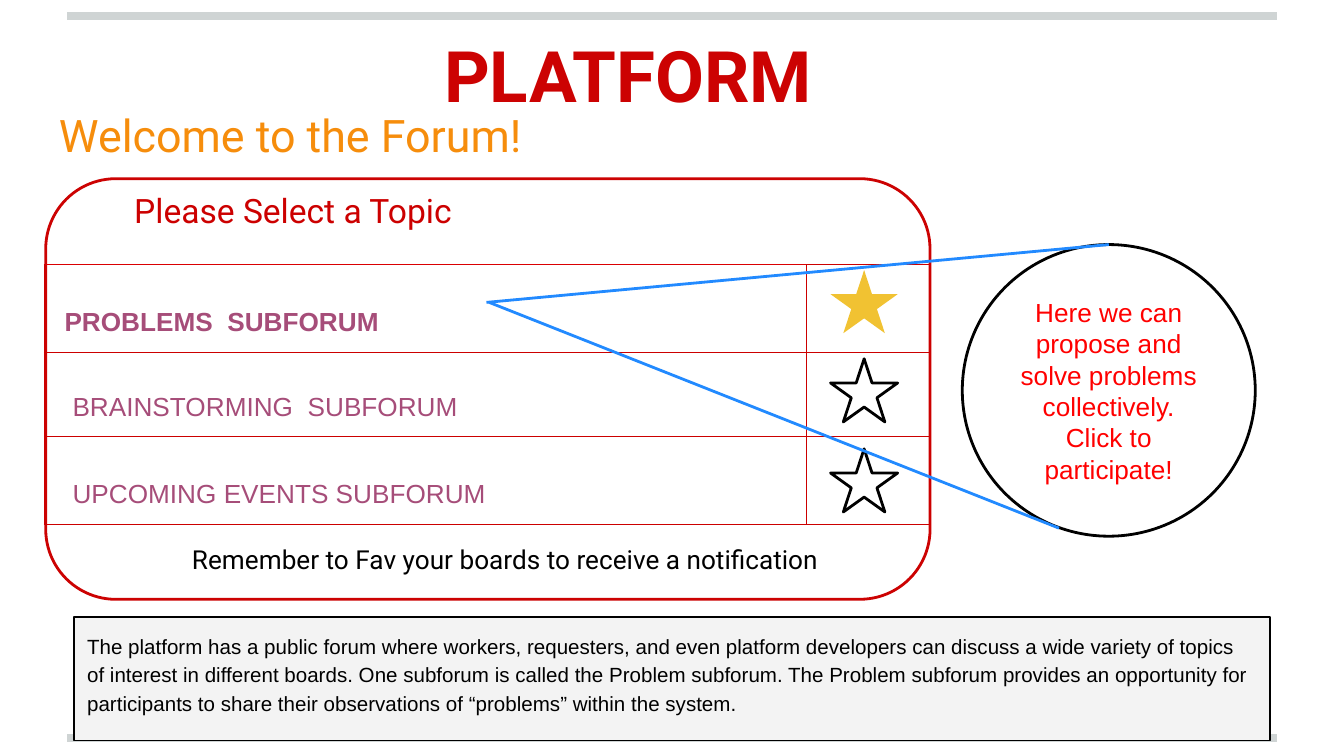
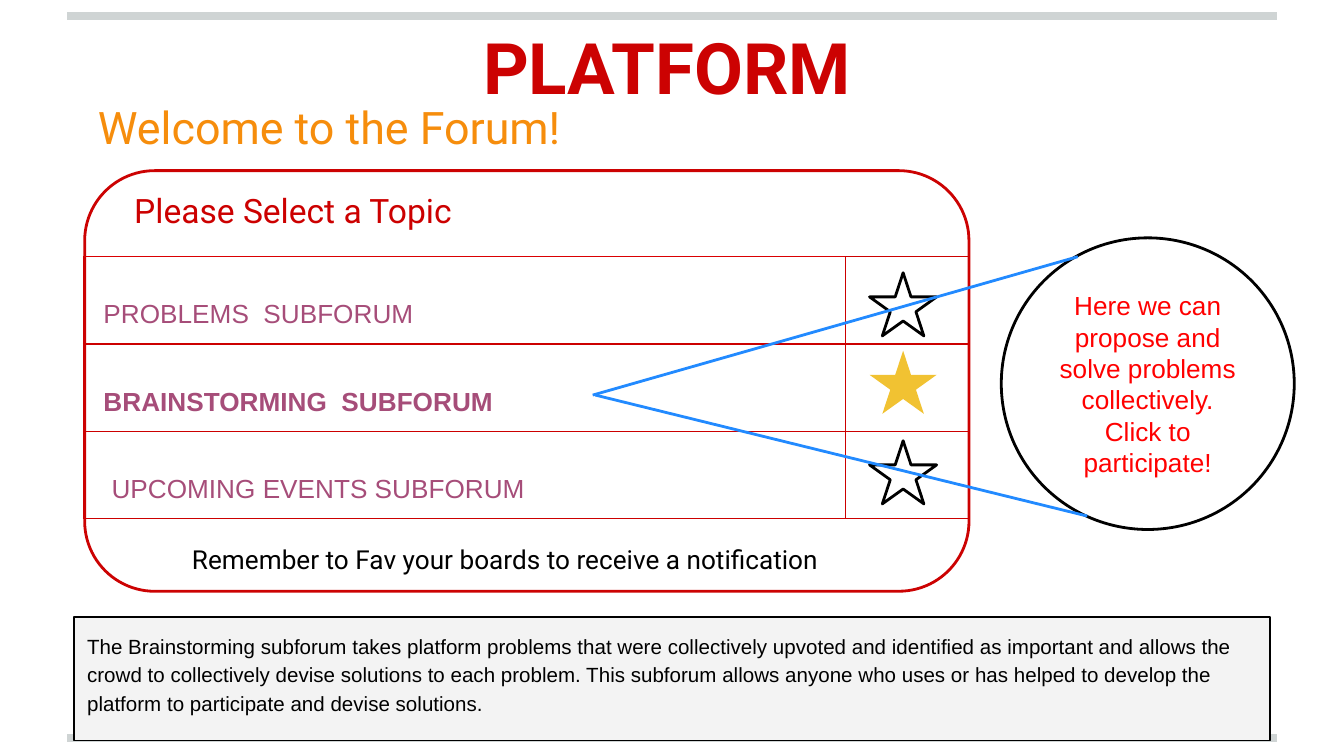
"""Build two slides that present the subforums of a platform."""
from lxml.etree import SubElement
from pptx import Presentation
from pptx.dml.color import RGBColor
from pptx.enum.shapes import MSO_CONNECTOR, MSO_SHAPE
from pptx.enum.text import MSO_ANCHOR, PP_ALIGN
from pptx.oxml import parse_xml
from pptx.oxml.ns import nsdecls, qn
from pptx.util import Inches, Pt

COLORS = {
    "band": "CFD4D4", "title": "CC0202", "welcome": "F68D0C", "topic": "CC0000",
    "top_edge": "DA0002", "subforum": "A64D79", "callout": "FF0000",
    "pointer": "228AFF", "star": "F1C232", "panel": "F3F3F3", "black": "000000",
}
TITLE = "PLATFORM"
WELCOME = "Welcome to the Forum!"
PROMPT = "Please Select a Topic"
REMINDER = "Remember to Fav your boards to receive a notification"
CALLOUT = ["Here we can propose and solve problems collectively.", "Click to participate!"]
SUBFORUMS = ["PROBLEMS  SUBFORUM", "BRAINSTORMING  SUBFORUM", "UPCOMING EVENTS SUBFORUM"]
SLIDE_WIDTH = 10
SLIDE_HEIGHT = SLIDE_WIDTH * 9 / 16
COLUMN_WIDTHS = (5.67, 0.92)
INSET = 0.1

SLIDES = [
    {
        "origin": (0.34, 1.33), "title_at": (2.11, 0.09), "callout_at": (7.16, 1.82),
        "favorite": 0, "indents": (0.15, 0.21, 0.21), "row_heights": (0.65, 0.63, 0.65),
        "star_tops": (2.01, 2.67, 3.34),
        "pointers": [((8.25, 1.82), (3.62, 2.25)), ((7.88, 3.93), (3.64, 2.25))],
        "description": "The platform has a public forum where workers, requesters, and even "
        "platform developers can discuss a wide variety of topics of interest in different "
        "boards. One subforum is called the Problem subforum. The Problem subforum provides "
        "an opportunity for participants to share their observations of “problems” within "
        "the system.",
    },
    {
        "origin": (0.63, 1.27), "title_at": (2.4, 0.03), "callout_at": (7.45, 1.77),
        "favorite": 1, "indents": (0.15, 0.15, 0.21), "row_heights": (0.65, 0.65, 0.65),
        "star_tops": (2.03, 2.61, 3.28),
        "pointers": [((8.02, 1.91), (4.41, 2.94)), ((8.09, 3.84), (4.43, 2.94))],
        "description": "The Brainstorming subforum takes platform problems that were "
        "collectively upvoted and identified as important and allows the crowd to "
        "collectively devise solutions to each problem. This subforum allows anyone who "
        "uses or has helped to develop the platform to participate and devise solutions.",
    },
]


def color(name):
    return RGBColor.from_string(COLORS[name])


def write(frame, lines, size, font, ink, bold=False, align=PP_ALIGN.LEFT,
          anchor=MSO_ANCHOR.TOP, spacing=None):
    frame.text = "\n".join(lines)
    frame.word_wrap = True
    frame.vertical_anchor = anchor
    frame.margin_left = frame.margin_right = Inches(INSET)
    frame.margin_top = frame.margin_bottom = Inches(INSET)
    for paragraph in frame.paragraphs:
        paragraph.alignment = align
        if spacing:
            paragraph.line_spacing = spacing
        for span in paragraph.runs:
            span.font.size, span.font.name, span.font.bold = Pt(size), font, bold
            span.font.color.rgb = color(ink)


def add_text(page, place, *style):
    box = page.shapes.add_textbox(*map(Inches, place))
    write(box.text_frame, *style)


def add_outline(page, kind, place, fill=None, line=None, width=1.5):
    shape = page.shapes.add_shape(kind, *map(Inches, place))
    shape.shadow.inherit = False
    if fill:
        shape.fill.solid()
        shape.fill.fore_color.rgb = color(fill)
    else:
        shape.fill.background()
    if line:
        shape.line.color.rgb = color(line)
        shape.line.width = Pt(width)
    else:
        shape.line.fill.background()
    return shape


def add_line(page, start, end, ink, width):
    line = page.shapes.add_connector(MSO_CONNECTOR.STRAIGHT, *map(Inches, (*start, *end)))
    line.line.color.rgb = color(ink)
    line.line.width = Pt(width)
    SubElement(line._element.spPr, qn("a:effectLst"))


def set_borders(cell, top):
    properties = cell._tc.get_or_add_tcPr()
    edges = {"lnL": "topic", "lnR": "topic", "lnT": top, "lnB": "topic"}
    for index, (edge, ink) in enumerate(edges.items()):
        properties.insert(index, parse_xml(
            f'<a:{edge} {nsdecls("a")} w="{Pt(0.75)}"><a:solidFill>'
            f'<a:srgbClr val="{COLORS[ink]}"/></a:solidFill></a:{edge}>'))


def add_subforums(page, left, top, content):
    heights = content["row_heights"]
    place = (left, top, sum(COLUMN_WIDTHS), sum(heights))
    table = page.shapes.add_table(len(SUBFORUMS), 2, *map(Inches, place)).table
    table.first_row = table.horz_banding = False
    for column, width in zip(table.columns, COLUMN_WIDTHS):
        column.width = Inches(width)
    rows = zip(SUBFORUMS, content["indents"], heights)
    for index, (name, indent, height) in enumerate(rows):
        table.rows[index].height = Inches(height)
        label = table.cell(index, 0)
        write(label.text_frame, [name], 14, "Arial", "subforum", index == content["favorite"])
        label.vertical_anchor = MSO_ANCHOR.BOTTOM
        label.margin_left = Inches(indent)
        label.margin_right = label.margin_top = Inches(INSET)
        label.margin_bottom = Inches(INSET + 0.01)
        for column in range(2):
            cell = table.cell(index, column)
            cell.fill.background()
            set_borders(cell, "top_edge" if index == column == 0 else "topic")


def add_stars(page, left, tops, favorite):
    for index, top in enumerate(tops):
        style = {"fill": "star"} if index == favorite else {"line": "black"}
        add_outline(page, MSO_SHAPE.STAR_5_POINT, (left, top, 0.5, 0.47), **style)


def build_slide(deck, content):
    page = deck.slides.add_slide(deck.slide_layouts[6])
    left, top = content["origin"]
    for height in (5.49, 0.12):
        add_line(page, (0.5, height), (9.5, height), "band", 4)

    title = add_outline(page, MSO_SHAPE.ROUNDED_RECTANGLE, (*content["title_at"], 5.13, 0.92))
    write(title.text_frame, [TITLE], 38, "Roboto", "title", True,
          PP_ALIGN.CENTER, MSO_ANCHOR.MIDDLE)
    callout = add_outline(page, MSO_SHAPE.OVAL, (*content["callout_at"], 2.18, 2.17),
                          line="black")
    write(callout.text_frame, CALLOUT, 14, "Arial", "callout", False,
          PP_ALIGN.CENTER, MSO_ANCHOR.MIDDLE)

    add_outline(page, MSO_SHAPE.ROUNDED_RECTANGLE, (left, top, 6.58, 3.13), line="title")
    add_text(page, (left, top - 0.63, 6.62, 0.54), [WELCOME], 24, "Roboto", "welcome")
    add_subforums(page, left - 0.01, top + 0.64, content)
    add_text(page, (0.9, 1.31, 5.19, 0.3), [PROMPT], 18, "Roboto", "topic")
    add_stars(page, left + 5.84, content["star_tops"], content["favorite"])
    add_text(page, (1.33, 3.94, 5.13, 0.42), [REMINDER], 14, "Roboto", "black")

    panel = add_outline(page, MSO_SHAPE.RECTANGLE, (0.55, 4.59, 8.9, 0.92),
                        "panel", "black", 0.75)
    write(panel.text_frame, [content["description"]], 11, "Arial", "black", spacing=1.15)
    for start, end in content["pointers"]:
        add_line(page, start, end, "pointer", 1.5)


deck = Presentation()
deck.slide_width, deck.slide_height = Inches(SLIDE_WIDTH), Inches(SLIDE_HEIGHT)
for content in SLIDES:
    build_slide(deck, content)
deck.save("out.pptx")
